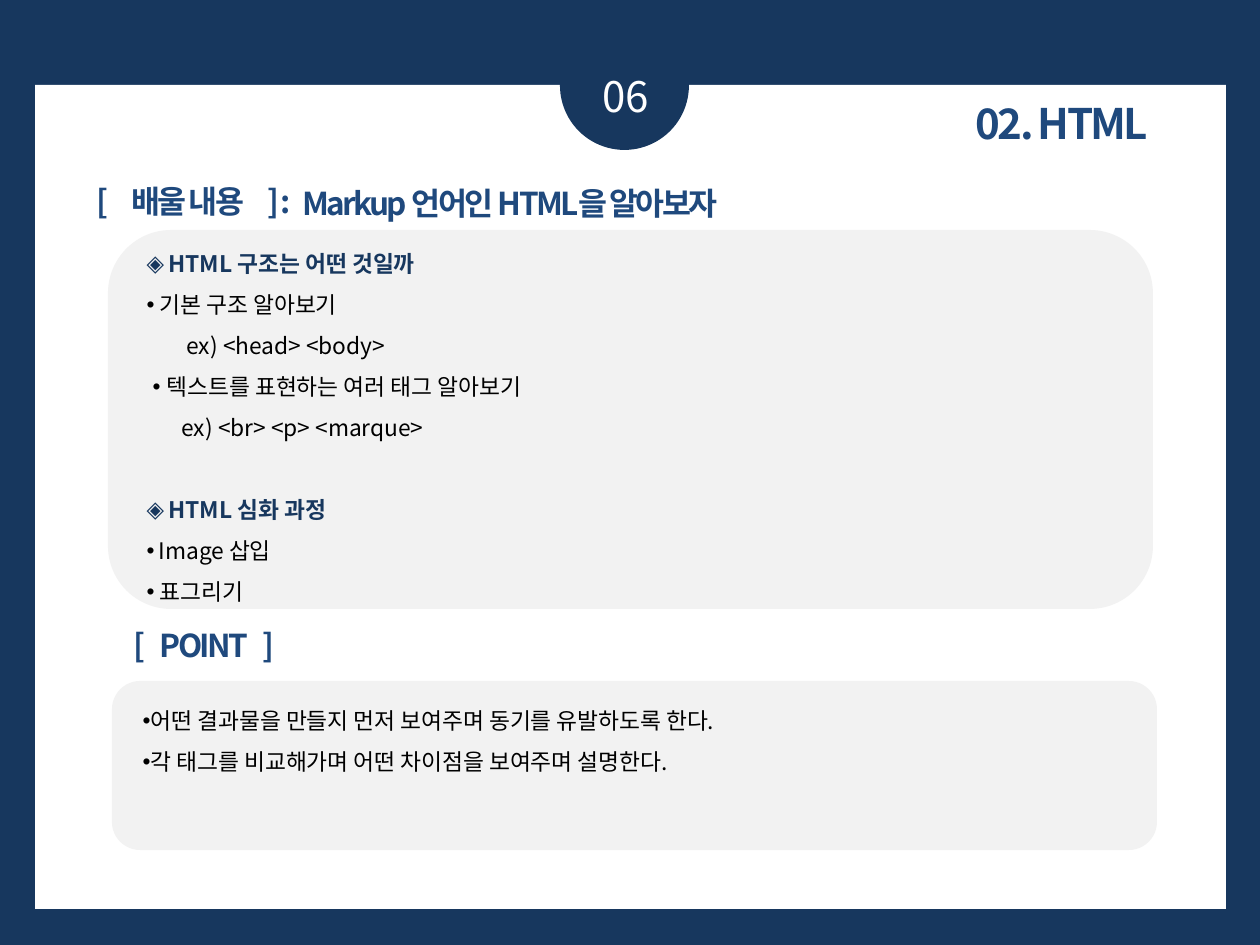
from lxml.etree import SubElement
from pptx import Presentation
from pptx.dml.color import RGBColor
from pptx.enum.shapes import MSO_SHAPE
from pptx.enum.text import MSO_ANCHOR, MSO_AUTO_SIZE, PP_ALIGN
from pptx.oxml.ns import qn
from pptx.util import Emu, Pt

FONT = "Noto Sans CJK KR"
COLORS = {
    "navy": "17375E",
    "blue": "1F497D",
    "panel": "F2F2F2",
    "white": "FFFFFF",
    "black": "000000",
}
TIGHT = -1.5
LINE_PITCH = 41

# Each line: bullet, text, left edge of bullet, left edge of text, space before
LESSON_LINES = [
    ("◈", "HTML 구조는 어떤 것일까", 0, 22, 0),
    ("•", "기본 구조 알아보기", 0, 13, 0),
    ("", "ex) <head> <body>", 40, 40, 0),
    ("•", "텍스트를 표현하는 여러 태그 알아보기", 6, 20, 0),
    ("", "ex) <br> <p> <marque>", 35, 35, 0),
    ("◈", "HTML 심화 과정", 0, 22, LINE_PITCH),
    ("•", "Image 삽입", 0, 12, 0),
    ("•", "표그리기", 0, 13, 0),
]
POINT_LINES = [
    ("•", "어떤 결과물을 만들지 먼저 보여주며 동기를 유발하도록 한다.", 0, 8, 0),
    ("•", "각 태그를 비교해가며 어떤 차이점을 보여주며 설명한다.", 0, 8, 0),
]


def px(length):
    return Emu(round(length * 914400 / 126))


def color(name):
    return RGBColor.from_string(COLORS[name])


def add_panel(page, kind, bounds, fill):
    panel = page.shapes.add_shape(kind, *map(px, bounds))
    panel.shadow.inherit = False
    panel.fill.solid()
    panel.fill.fore_color.rgb = color(fill)
    panel.line.fill.background()


def add_span(para, text, size, fill, bold=False, spacing=0):
    span = para.add_run()
    span.text = text
    font = span.font
    font.name, font.size, font.bold = FONT, Pt(size), bold
    font.color.rgb = color(fill)
    properties = span._r.get_or_add_rPr()
    SubElement(properties, qn("a:ea"), typeface=FONT)
    if spacing:
        properties.set("spc", str(round(spacing * 100)))


def format_frame(box):
    frame = box.text_frame
    frame.word_wrap = True
    frame.vertical_anchor = MSO_ANCHOR.TOP
    frame.auto_size = MSO_AUTO_SIZE.SHAPE_TO_FIT_TEXT
    return frame


def place(box, bounds):
    """Move a placeholder to its bounds and in front of the panels."""
    box.left, box.top, box.width, box.height = map(px, bounds)
    box.element.getparent().append(box.element)


def write_centred(box, spans, size, fill, bold=True):
    """Write (text, character spacing) pairs on one centred line."""
    para = format_frame(box).paragraphs[0]
    para.alignment = PP_ALIGN.CENTER
    for text, spacing in spans:
        add_span(para, text, size, fill, bold, spacing)


def add_label(page, bounds, spans, size=18, fill="blue", bold=True):
    box = page.shapes.add_textbox(*map(px, bounds))
    write_centred(box, spans, size, fill, bold)


def bracketed(text, closing, gap):
    """Spans for a bracketed heading with a widened space on each side."""
    return [("[", TIGHT), (" ", gap), (text, TIGHT), (" ", gap), (closing, TIGHT)]


def write_list(box, bounds, lines):
    place(box, bounds)
    frame = format_frame(box)
    for index, (bullet, text, start, left, before) in enumerate(lines):
        para = frame.add_paragraph() if index else frame.paragraphs[0]
        para.alignment = PP_ALIGN.LEFT
        para.line_spacing = 1.5
        para.space_before = px(before)
        properties = para._p.get_or_add_pPr()
        properties.set("marL", str(px(left)))
        properties.set("indent", str(px(start - left)))
        if bullet:
            SubElement(properties, qn("a:buChar"), char=bullet)
        else:
            SubElement(properties, qn("a:buNone"))
        heading = bullet == "◈"
        add_span(para, text, 13, "navy" if heading else "black", heading)


def main():
    deck = Presentation()
    deck.slide_width, deck.slide_height = px(1260), px(945)
    page = deck.slides.add_slide(deck.slide_layouts[3])
    page.background.fill.solid()
    page.background.fill.fore_color.rgb = color("navy")
    title, lesson, point = page.placeholders

    add_panel(page, MSO_SHAPE.RECTANGLE, (35, 85, 1191, 824), "white")
    add_panel(page, MSO_SHAPE.OVAL, (560, 21, 129, 129), "navy")
    add_panel(page, MSO_SHAPE.ROUNDED_RECTANGLE, (108, 230, 1045, 379), "panel")
    add_panel(page, MSO_SHAPE.ROUNDED_RECTANGLE, (112, 681, 1045, 169), "panel")

    add_label(page, (551, 64, 149, 63), [("06", 0)], 24, "white", False)
    place(title, (774, 91, 576, 63))
    write_centred(title, [("02. HTML", TIGHT)], 24, "blue")

    add_label(page, (-94, 176, 576, 50), bracketed("배울 내용", "] :", 9))
    add_label(page, (222, 178, 576, 50), [("Markup 언어인 HTML을 알아보자", TIGHT)])
    write_list(lesson, (134, 230, 480, 381), LESSON_LINES)

    add_label(page, (-84, 620, 576, 50), bracketed("POINT", "]", 4))
    write_list(point, (130, 687, 997, 132), POINT_LINES)

    deck.save("out.pptx")


if __name__ == "__main__":
    main()
